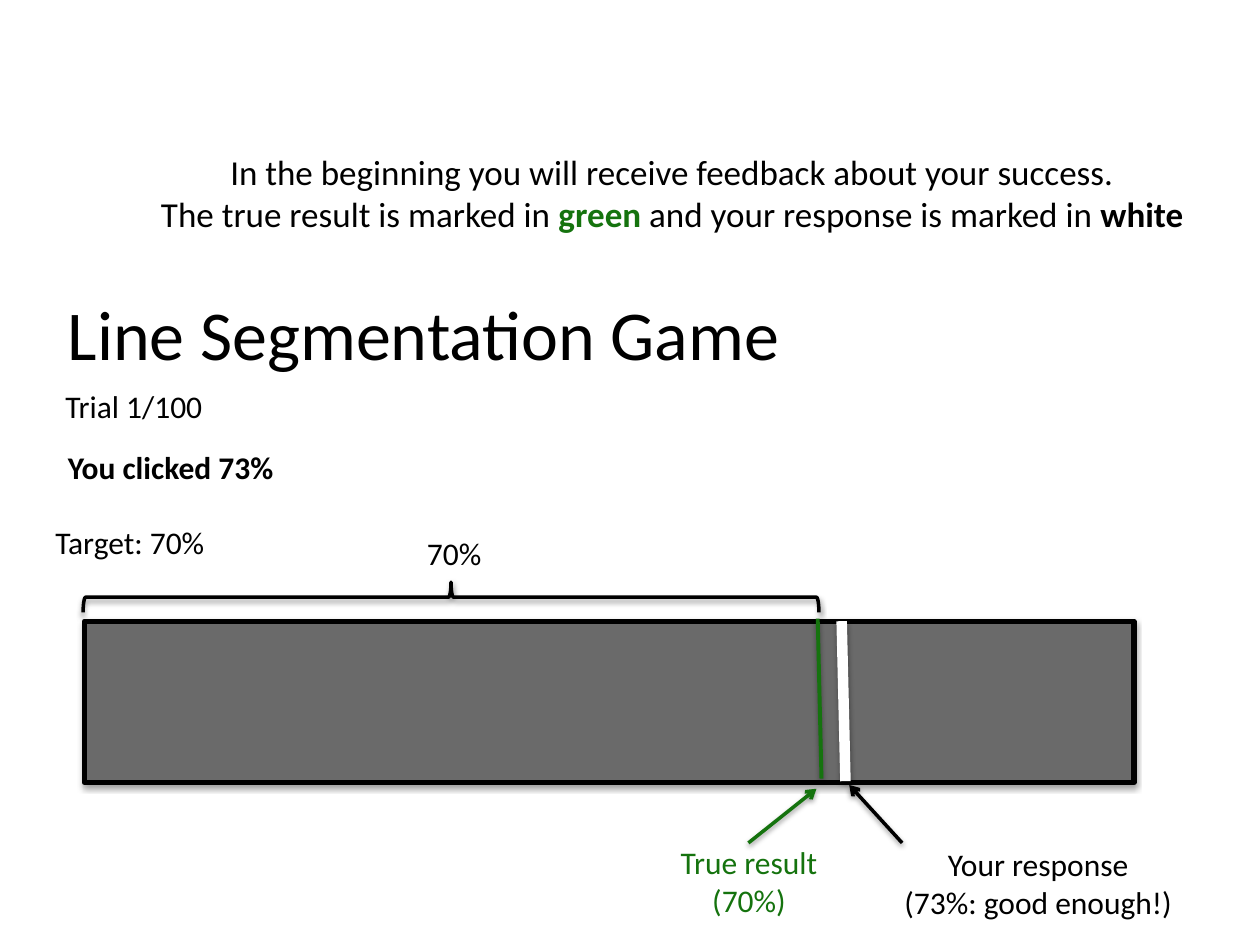
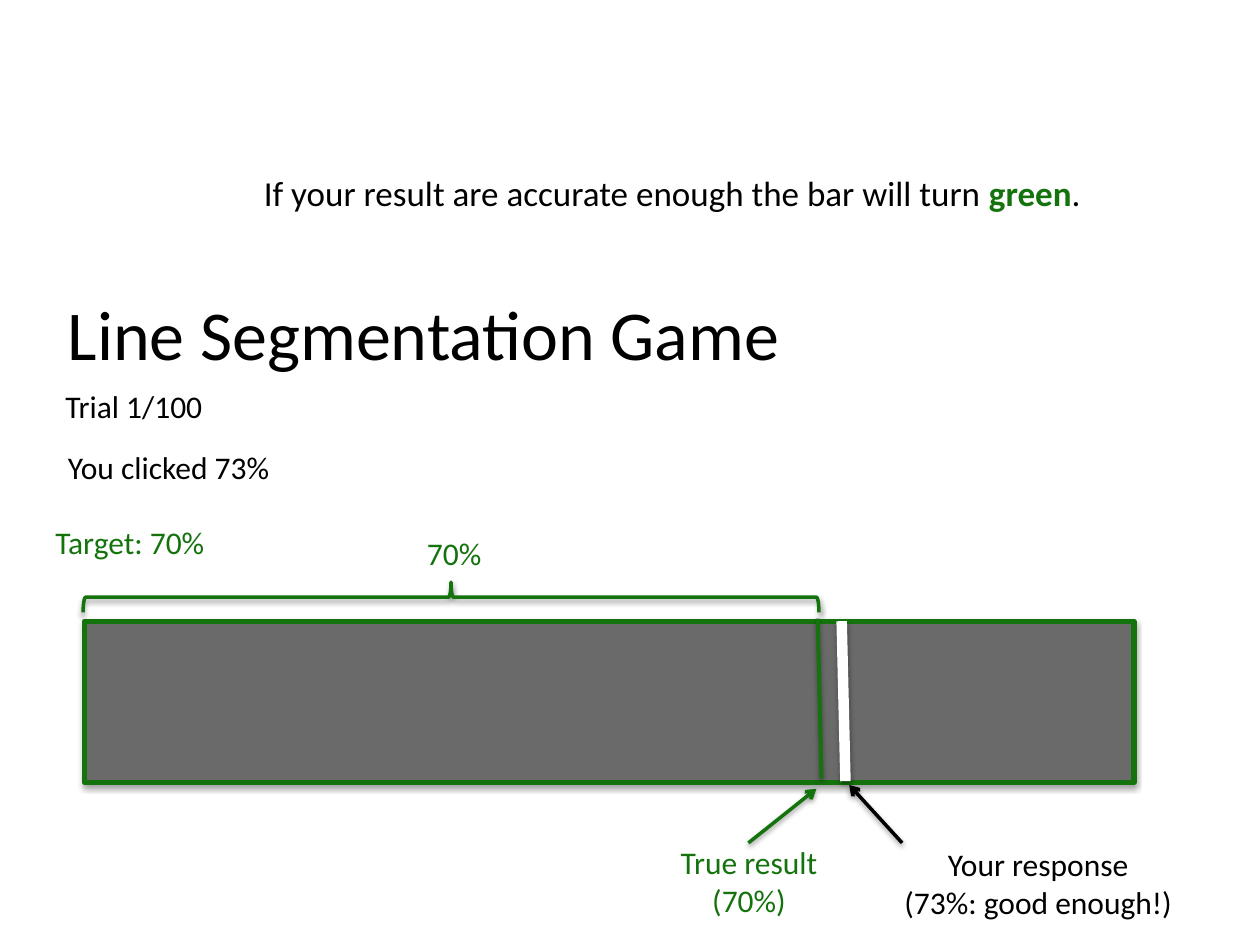
from dataclasses import dataclass

import lxml.etree
import pptx
import pptx.dml.color
import pptx.enum.shapes
import pptx.enum.text
import pptx.oxml.ns
import pptx.util

Inches = pptx.util.Inches
Pt = pptx.util.Pt
qn = pptx.oxml.ns.qn
Shape = pptx.enum.shapes.MSO_SHAPE
Align = pptx.enum.text.PP_ALIGN


@dataclass(frozen=True)
class Theme:
    font: str = "Calibri"
    ink: str = "000000"
    green: str = "15730E"
    white: str = "FFFFFF"
    bar: str = "6A6A6A"
    heading_size: float = 40
    message_size: float = 20
    body_size: float = 18


THEME = Theme()
BAR_LEFT, BAR_TOP, BAR_WIDTH, BAR_HEIGHT = 0.67, 4.93, 8.33, 1.28


def rgb(color):
    return pptx.dml.color.RGBColor.from_string(color)


def add_shadow(shape, opacity=38, distance=1.6):
    """Give the shape a soft shadow that falls straight down."""
    properties = shape.element.spPr
    effects = properties.find(qn("a:effectLst"))
    if effects is None:
        effects = lxml.etree.SubElement(properties, qn("a:effectLst"))
    shadow = lxml.etree.SubElement(
        effects, qn("a:outerShdw"), blurRad=str(Pt(3.1)),
        dist=str(Pt(distance)), dir="5400000", rotWithShape="0")
    color = lxml.etree.SubElement(shadow, qn("a:srgbClr"), val=THEME.ink)
    lxml.etree.SubElement(color, qn("a:alpha"), val=str(opacity * 1000))


def style_line(line, color, width):
    line.color.rgb = rgb(color)
    line.width = Pt(width)


def style_paragraph(paragraph, size, color, align, bold=False):
    paragraph.alignment = align
    paragraph.font.name = THEME.font
    paragraph.font.size = Pt(size)
    paragraph.font.color.rgb = rgb(color)
    paragraph.font.bold = bold


def add_frame(slide, left, top, width, height):
    box = slide.shapes.add_textbox(*map(Inches, (left, top, width, height)))
    box.text_frame.word_wrap = True
    return box.text_frame


def add_label(slide, box, text, color=THEME.ink, size=THEME.body_size,
              bold=False, align=Align.LEFT):
    frame = add_frame(slide, *box)
    frame.text = text
    frame.auto_size = pptx.enum.text.MSO_AUTO_SIZE.SHAPE_TO_FIT_TEXT
    for paragraph in frame.paragraphs:
        style_paragraph(paragraph, size, color, align, bold)


def add_message(slide, lines):
    """Write lines of (text, color, bold) parts in one centred paragraph."""
    frame = add_frame(slide, 0.67, 0.72, 9.33, 1.61)
    frame.vertical_anchor = pptx.enum.text.MSO_ANCHOR.MIDDLE
    paragraph = frame.paragraphs[0]
    style_paragraph(paragraph, THEME.message_size, THEME.ink, Align.CENTER)
    for number, parts in enumerate(lines):
        if number:
            paragraph.add_line_break()
        for text, color, bold in parts:
            run = paragraph.add_run()
            run.text = text
            run.font.name = THEME.font
            run.font.size = Pt(THEME.message_size)
            run.font.color.rgb = rgb(color)
            run.font.bold = bold


def add_line(slide, start, end, color, width, arrow=False):
    line = slide.shapes.add_connector(
        pptx.enum.shapes.MSO_CONNECTOR.STRAIGHT,
        *map(Inches, (*start, *end)))
    style_line(line.line, color, width)
    if arrow:
        outline = line.element.spPr.find(qn("a:ln"))
        lxml.etree.SubElement(outline, qn("a:tailEnd"), type="arrow")
    add_shadow(line)


def add_brace(slide, color):
    brace = slide.shapes.add_shape(
        Shape.RIGHT_BRACE, *map(Inches, (3.46, 1.82, 0.24, 5.84)))
    brace.rotation = 270
    brace.shadow.inherit = False
    brace.fill.background()
    style_line(brace.line, color, 2)
    add_shadow(brace)


def add_bar(slide, color):
    bar = slide.shapes.add_shape(Shape.RECTANGLE, *map(
        Inches, (BAR_LEFT, BAR_TOP, BAR_WIDTH, BAR_HEIGHT)))
    bar.shadow.inherit = False
    bar.fill.solid()
    bar.fill.fore_color.rgb = rgb(THEME.bar)
    style_line(bar.line, color, 3)
    add_shadow(bar, opacity=35, distance=1.8)


def add_marker(slide, left, top, color, width):
    """Draw a slightly slanted mark across the bar."""
    add_line(slide, (left, top), (left + 0.03, top + 1.27), color, width)


def add_game_slide(deck, message, target_color, bold_click):
    slide = deck.slides.add_slide(deck.slide_layouts[6])
    add_message(slide, message)
    add_label(slide, (0.44, 2.26, 6.29, 0.77), "Line Segmentation Game",
              size=THEME.heading_size)
    add_label(slide, (0.42, 3.02, 1.6, 0.4), "Trial 1/100")
    add_label(slide, (0.44, 3.51, 6.72, 0.4), "You clicked 73%",
              bold=bold_click)
    add_label(slide, (0.34, 4.1, 6.72, 0.4), "Target: 70%", target_color)
    add_brace(slide, target_color)
    add_bar(slide, target_color)
    add_marker(slide, 6.68, BAR_TOP, THEME.white, 6)
    add_label(slide, (3.29, 4.19, 2, 0.4), "70%", target_color)
    add_marker(slide, 6.49, BAR_TOP - 0.02, THEME.green, 2.25)
    add_label(slide, (5.01, 6.64, 1.87, 0.71), "True result\n(70%)",
              THEME.green, align=Align.CENTER)
    add_label(slide, (6.73, 6.66, 3.02, 0.71),
              "Your response\n(73%: good enough!)", align=Align.CENTER)
    add_line(slide, (7.16, 6.69), (6.74, 6.23), THEME.ink, 2, arrow=True)
    add_line(slide, (5.94, 6.69), (6.48, 6.26), THEME.green, 2, arrow=True)


def main():
    deck = pptx.Presentation()
    deck.slide_width, deck.slide_height = Inches(10), Inches(7.5)
    green_word = ("green", THEME.green, True)
    feedback = [
        [("In the beginning you will receive feedback about your success.",
          THEME.ink, False)],
        [("The true result is marked in ", THEME.ink, False), green_word,
         (" and your response is marked in ", THEME.ink, False),
         ("white", THEME.ink, True)],
    ]
    success = [
        [("If your result are accurate enough the bar will turn ",
          THEME.ink, False), green_word, (".", THEME.ink, False)],
    ]
    add_game_slide(deck, feedback, THEME.ink, bold_click=True)
    add_game_slide(deck, success, THEME.green, bold_click=False)
    deck.save("out.pptx")


if __name__ == "__main__":
    main()
